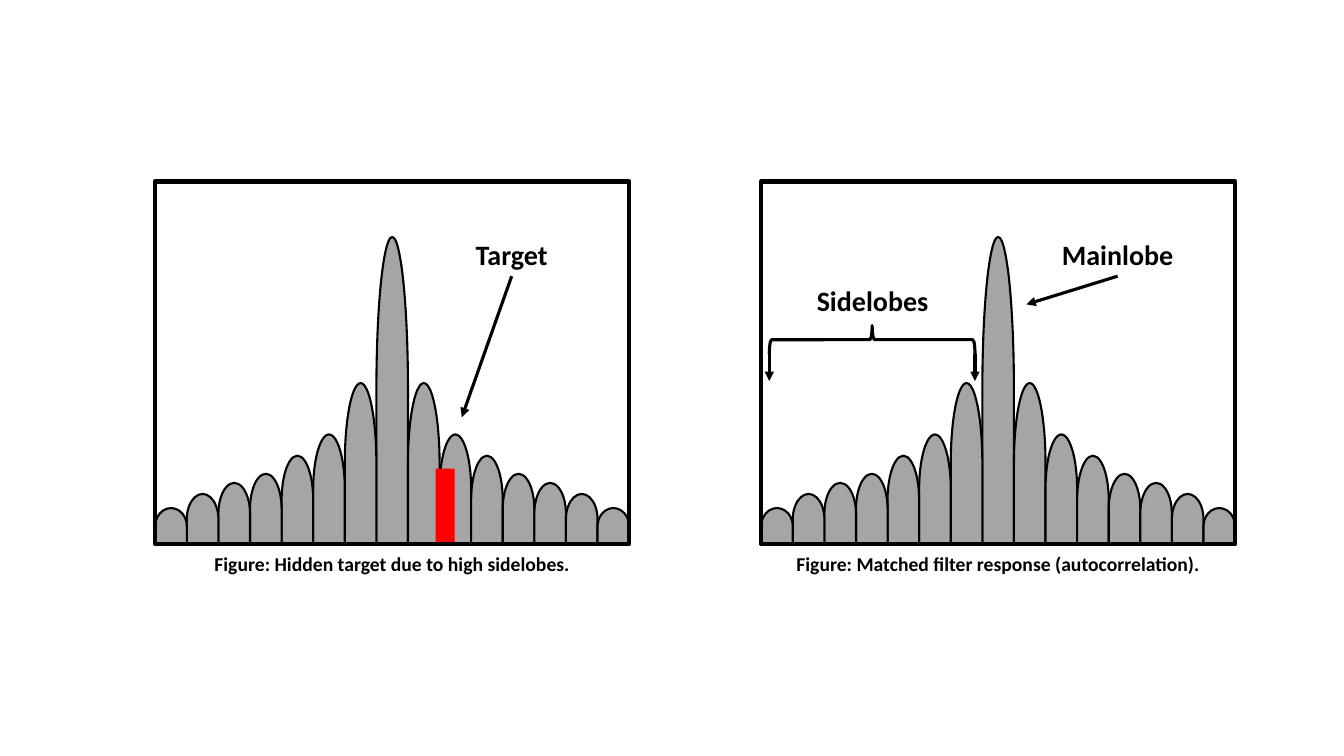
from lxml.etree import SubElement
from pptx import Presentation
from pptx.dml.color import RGBColor
from pptx.enum.shapes import MSO_CONNECTOR, MSO_SHAPE
from pptx.enum.text import MSO_ANCHOR, MSO_AUTO_SIZE, PP_ALIGN
from pptx.oxml.ns import qn
from pptx.util import Pt

EMU_PER_PX = 9144
COLORS = {"ink": "000000", "paper": "FFFFFF", "lobe": "A5A5A5", "target": "FF0000"}
FRAME_TOP, FRAME_WIDTH, FRAME_HEIGHT = 180, 470, 360
BASELINE = FRAME_TOP + FRAME_HEIGHT
LOBE_HEIGHTS = [305, 160, 109, 88, 70, 61, 50, 36]
LOBE_WIDTH = FRAME_WIDTH / (2 * len(LOBE_HEIGHTS) - 1)
LABEL_WIDTH, LABEL_HEIGHT = 133, 44
CAPTION_HEIGHT = 34
FRAME_FORMAT = {"word_wrap": True, "auto_size": MSO_AUTO_SIZE.SHAPE_TO_FIT_TEXT,
                "vertical_anchor": MSO_ANCHOR.MIDDLE}
FONT_FORMAT = {"name": "Calibri", "bold": True}


def px(*lengths):
    return [round(length * EMU_PER_PX) for length in lengths]


def color(name):
    return RGBColor.from_string(COLORS[name])


def apply_format(item, values):
    for name, value in values.items():
        setattr(item, name, value)


def draw_line(line, width):
    line.color.rgb = color("ink")
    line.width = Pt(width)


def add_figure(shapes, kind, box, fill=None, line_width=None):
    figure = shapes.add_shape(kind, *px(*box))
    figure.shadow.inherit = False
    if fill:
        figure.fill.solid()
        figure.fill.fore_color.rgb = color(fill)
    else:
        figure.fill.background()
    if line_width:
        draw_line(figure.line, line_width)
    else:
        figure.line.fill.background()
    return figure


def write(holder, wording, size):
    apply_format(holder.text_frame, FRAME_FORMAT)
    paragraph = holder.text_frame.paragraphs[0]
    paragraph.alignment = PP_ALIGN.CENTER
    run = paragraph.add_run()
    run.text = wording
    apply_format(run.font, FONT_FORMAT | {"size": Pt(size)})
    run.font.color.rgb = color("ink")


def add_label(shapes, wording, left, top):
    label = add_figure(shapes, MSO_SHAPE.RECTANGLE,
                       (left, top, LABEL_WIDTH, LABEL_HEIGHT), "paper")
    write(label, wording, 20)
    return label


def add_caption(shapes, wording, panel_left, width):
    left = panel_left + (FRAME_WIDTH - width) / 2
    caption = shapes.add_textbox(*px(left, BASELINE + 2, width, CAPTION_HEIGHT))
    write(caption, wording, 14)


def add_arrow(shapes, start, end, label=None):
    arrow = shapes.add_connector(MSO_CONNECTOR.STRAIGHT, *px(*start, *end))
    draw_line(arrow.line, 2.25)
    SubElement(arrow.line._get_or_add_ln(), qn("a:tailEnd"), type="triangle")
    SubElement(arrow._element.spPr, qn("a:effectLst"))
    if label:
        arrow.begin_connect(label, 2)


def add_lobes(shapes, panel_left):
    center = panel_left + FRAME_WIDTH / 2
    for order, height in enumerate(LOBE_HEIGHTS):
        for offset in sorted({order, -order}):
            left = center + offset * LOBE_WIDTH - height / 2
            top = BASELINE - (height + LOBE_WIDTH) / 2
            lobe = add_figure(shapes, MSO_SHAPE.FLOWCHART_DELAY,
                              (left, top, height, LOBE_WIDTH), "lobe", 1.5)
            lobe.rotation = 270


def add_frame(shapes, left):
    add_figure(shapes, MSO_SHAPE.RECTANGLE,
               (left, FRAME_TOP, FRAME_WIDTH, FRAME_HEIGHT), line_width=3)


def add_response_panel(slide, left):
    shapes = slide.shapes.add_group_shape().shapes
    add_lobes(shapes, left)
    mainlobe = add_label(shapes, "Mainlobe", left + 287, 230)
    add_label(shapes, "Sidelobes", left + 44, 276)
    add_frame(shapes, left)
    brace = add_figure(shapes, MSO_SHAPE.LEFT_BRACE, (left + 96, 235, 28, 204),
                       line_width=2.25)
    brace.rotation = 90
    add_arrow(shapes, (left + 353, 274), (left + 263, 302), mainlobe)
    for x in (left + 212, left + 8):
        add_arrow(shapes, (x, 351), (x, 378))


def add_target_panel(slide, left):
    shapes = slide.shapes.add_group_shape().shapes
    add_lobes(shapes, left)
    label = add_label(shapes, "Target", left + 287, 230)
    add_arrow(shapes, (left + 353, 274), (left + 304, 414), label)
    add_figure(shapes, MSO_SHAPE.RECTANGLE, (left + 278, BASELINE - 75, 19, 75), "target")
    add_frame(shapes, left)


def main():
    deck = Presentation()
    deck.slide_width, deck.slide_height = px(1333, 750)
    slide = deck.slides.add_slide(deck.slide_layouts[6])
    target_left, response_left = 154, 755
    add_response_panel(slide, response_left)
    add_target_panel(slide, target_left)
    add_caption(slide.shapes, "Figure: Hidden target due to high sidelobes.",
                target_left, 395)
    add_caption(slide.shapes, "Figure: Matched filter response (autocorrelation).",
                response_left, 433)
    deck.save("out.pptx")


if __name__ == "__main__":
    main()
